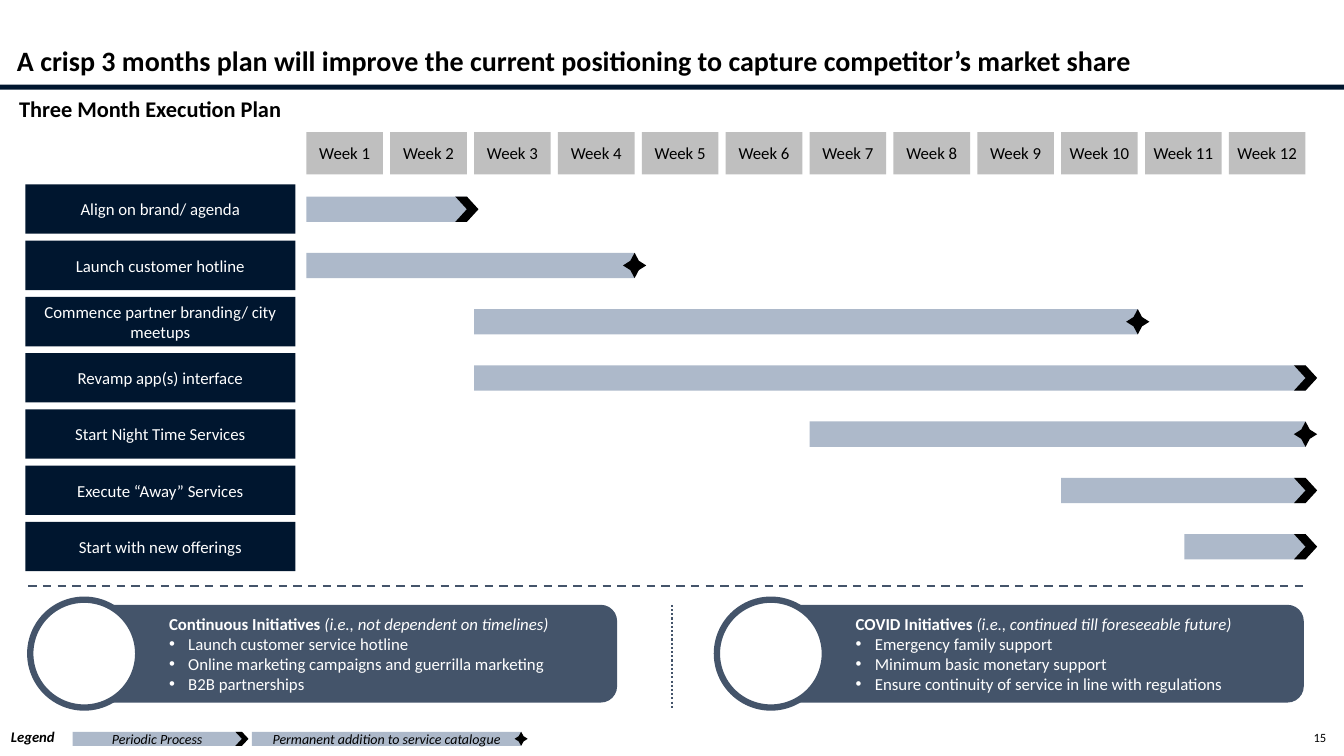
from dataclasses import dataclass

from lxml import etree
from pptx import Presentation
from pptx.dml.color import RGBColor
from pptx.enum.dml import MSO_LINE
from pptx.enum.shapes import MSO_CONNECTOR, MSO_SHAPE
from pptx.enum.text import MSO_ANCHOR, PP_ALIGN
from pptx.oxml.ns import qn
from pptx.util import Emu, Inches, Pt

RECT, ROUND_RECT, OVAL = MSO_SHAPE.RECTANGLE, MSO_SHAPE.ROUNDED_RECTANGLE, MSO_SHAPE.OVAL
CHEVRON, STAR = MSO_SHAPE.CHEVRON, MSO_SHAPE.STAR_4_POINT
STRAIGHT = MSO_CONNECTOR.STRAIGHT
DASH, DOT = MSO_LINE.DASH, MSO_LINE.ROUND_DOT
LEFT, CENTER = PP_ALIGN.LEFT, PP_ALIGN.CENTER
TOP, MIDDLE = MSO_ANCHOR.TOP, MSO_ANCHOR.MIDDLE


@dataclass(frozen=True)
class Theme:
    font: str = "Calibri"
    navy: str = "00162F"
    slate: str = "44546A"
    bar: str = "ADB9CA"
    week: str = "BFBFBF"
    black: str = "000000"
    white: str = "FFFFFF"
    title: float = 20
    heading: float = 16
    body: float = 12
    legend: float = 10.5
    key: float = 10
    page: float = 9


@dataclass(frozen=True)
class Box:
    """Position and size in percent of the slide's width and height."""
    x: float
    y: float
    w: float
    h: float


@dataclass(frozen=True)
class Task:
    name: str
    start: float
    end: int
    marker: MSO_SHAPE


@dataclass(frozen=True)
class Panel:
    x: float
    title: str
    note: str
    items: tuple[str, ...]


@dataclass(frozen=True)
class Key:
    x: float
    w: float
    label: str
    marker: MSO_SHAPE


T = Theme()
prs = Presentation()
prs.slide_width, prs.slide_height = Inches(13.33), Inches(7.5)
s = prs.slides.add_slide(prs.slide_layouts[6])

# Week grid, in percent of the slide
WEEKS, WEEK_X, WEEK_STEP, WEEK_W = 12, 22.8, 6.24, 5.7
ROW_Y, ROW_STEP, ROW_H = 24.4, 7.44, 6.53
BAR_DY, BAR_H, MARKER_W = 1.6, 3.36, 1.73

TASKS = (
    Task("Align on brand/ agenda", 1, 2, CHEVRON),
    Task("Launch customer hotline", 1, 4, STAR),
    Task("Commence partner branding/ city meetups", 3, 10, STAR),
    Task("Revamp app(s) interface", 3, 12, CHEVRON),
    Task("Start Night Time Services", 7, 12, STAR),
    Task("Execute “Away” Services", 10, 12, CHEVRON),
    Task("Start with new offerings", 11.47, 12, CHEVRON),
)
PANELS = (
    Panel(2.25, "Continuous Initiatives ", "(i.e., not dependent on timelines)",
          ("Launch customer service hotline",
           "Online marketing campaigns and guerrilla marketing",
           "B2B partnerships")),
    Panel(53.34, "COVID Initiatives ", "(i.e., continued till foreseeable future)",
          ("Emergency family support",
           "Minimum basic monetary support",
           "Ensure continuity of service in line with regulations")),
)
KEYS = (
    Key(5.4, 12.6, "Periodic Process", CHEVRON),
    Key(18.75, 20.03, "Permanent addition to service catalogue", STAR),
)


def across(share: float) -> Emu:
    return Emu(round(prs.slide_width * share / 100))


def down(share: float) -> Emu:
    return Emu(round(prs.slide_height * share / 100))


def place(box: Box) -> tuple[Emu, Emu, Emu, Emu]:
    return across(box.x), down(box.y), across(box.w), down(box.h)


def week_left(week: float) -> float:
    return WEEK_X + (week - 1) * WEEK_STEP


def style(font, size: float, color: str, bold: bool = False, italic: bool = False) -> None:
    font.name, font.size, font.bold, font.italic = T.font, Pt(size), bold, italic
    font.color.rgb = RGBColor.from_string(color)


def write(sp, text: str, size: float, color: str, align=CENTER, anchor=MIDDLE,
          bold: bool = False, italic: bool = False, wrap: bool = True) -> None:
    tf = sp.text_frame
    tf.text, tf.word_wrap, tf.vertical_anchor = text, wrap, anchor
    p = tf.paragraphs[0]
    p.alignment = align
    style(p.runs[0].font, size, color, bold, italic)


def shape(kind: MSO_SHAPE, box: Box, fill: str):
    sp = s.shapes.add_shape(kind, *place(box))
    sp.shadow.inherit = False
    sp.fill.solid()
    sp.fill.fore_color.rgb = RGBColor.from_string(fill)
    sp.line.fill.background()
    return sp


def marker(kind: MSO_SHAPE, center: float, y: float, w: float, h: float) -> None:
    sp = shape(kind, Box(center - w / 2, y, w, h), T.black)
    if kind == STAR:
        sp.adjustments[0] = 0.26


def label(text: str, box: Box, size: float, **options) -> None:
    sp = s.shapes.add_textbox(*place(box))
    write(sp, text, size, T.black, LEFT, TOP, **options)


def divider(x1: float, y1: float, x2: float, y2: float, dash: MSO_LINE) -> None:
    cx = s.shapes.add_connector(STRAIGHT, across(x1), down(y1), across(x2), down(y2))
    cx.line.color.rgb = RGBColor.from_string(T.slate)
    cx.line.width, cx.line.dash_style = Pt(1.5), dash
    etree.SubElement(cx._element.spPr, qn("a:effectLst"))


def bullet(p) -> None:
    pPr = p._p.get_or_add_pPr()
    pPr.set("marL", str(Inches(0.19)))
    pPr.set("indent", str(-Inches(0.19)))
    etree.SubElement(pPr, qn("a:buFont")).set("typeface", "Arial")
    etree.SubElement(pPr, qn("a:buChar")).set("char", "•")


def draw_panel(panel: Panel) -> None:
    sp = shape(ROUND_RECT, Box(panel.x + 3.23, 80, 40.44, 12.93), T.slate)
    tf = sp.text_frame
    tf.text = "\n".join((panel.title, *panel.items))
    tf.word_wrap, tf.vertical_anchor, tf.margin_left = True, MIDDLE, across(6.75)
    head, *items = tf.paragraphs
    head.add_run().text = panel.note
    head.alignment = LEFT
    style(head.runs[0].font, T.body, T.white, bold=True)
    style(head.runs[1].font, T.body, T.white, italic=True)
    for p in items:
        p.alignment = LEFT
        bullet(p)
        style(p.runs[0].font, T.body, T.white)
    ring = shape(OVAL, Box(panel.x, 79.33, 8.03, 14.27), T.white)
    ring.line.color.rgb = RGBColor.from_string(T.slate)
    ring.line.width = Pt(4.5)


# Headings
shape(RECT, Box(0, 11.2, 100, 0.67), T.navy)
label("A crisp 3 months plan will improve the current positioning to capture "
      "competitor’s market share", Box(0.53, 5.07, 98.5, 5.87), T.title, bold=True)
label("Three Month Execution Plan", Box(0.68, 11.87, 23.11, 4.93), T.heading, bold=True)

# Plan
for week in range(1, WEEKS + 1):
    sp = shape(RECT, Box(week_left(week), 17.47, WEEK_W, 5.6), T.week)
    write(sp, f"Week {week}", T.body, T.black)
    sp.text_frame.margin_left = sp.text_frame.margin_right = 0
for i, task in enumerate(TASKS):
    y = ROW_Y + i * ROW_STEP
    left, right = week_left(task.start), week_left(task.end) + WEEK_W
    write(shape(RECT, Box(1.88, y, 20.1, ROW_H), T.navy), task.name, T.body, T.white)
    shape(RECT, Box(left, y + BAR_DY, right - left, BAR_H), T.bar)
    marker(task.marker, right, y + BAR_DY, MARKER_W, BAR_H)

# Initiatives
divider(2.1, 77.47, 97.37, 77.47, DASH)
divider(50, 80, 50, 93.6, DOT)
for panel in PANELS:
    draw_panel(panel)

# Legend and page number
label("Legend", Box(0.08, 95.6, 4.88, 3.87), T.legend, bold=True, italic=True, wrap=False)
for key in KEYS:
    sp = shape(RECT, Box(key.x, 96.8, key.w, 1.87), T.bar)
    write(sp, key.label, T.key, T.black, italic=True)
    sp.text_frame.margin_left = sp.text_frame.margin_right = 0
    marker(key.marker, key.x + key.w, 96.8, 0.98, 1.87)
label("15", Box(97, 95.87, 2.48, 3.33), T.page, wrap=False)

prs.save("out.pptx")
